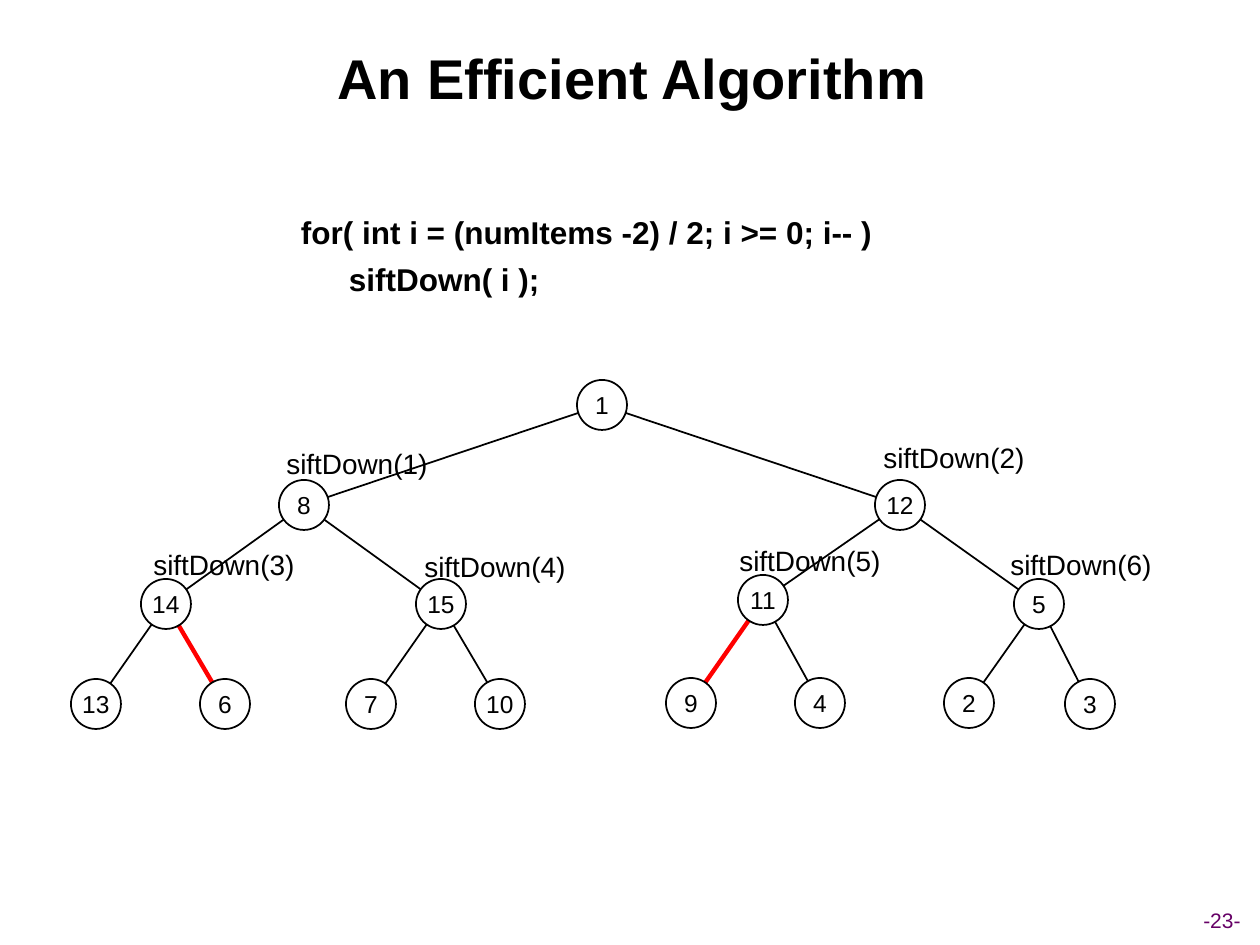
import pptx
import pptx.dml.color
import pptx.enum.shapes
import pptx.enum.text
import pptx.util
from pptx.oxml.ns import qn
from lxml import etree

PX = 914400 / 126
DIAMETER = 50
BLACK, WHITE, RED, PURPLE = "000000", "FFFFFF", "FF0000", "660066"
CENTER = pptx.enum.text.PP_ALIGN.CENTER
LEFT = pptx.enum.text.PP_ALIGN.LEFT

NODES = {
    1: (602, 405),
    8: (304, 505), 12: (900, 505),
    14: (166, 604), 15: (441, 604), 11: (763, 600), 5: (1039, 604),
    13: (96, 704), 6: (225, 704), 7: (371, 704), 10: (500, 704),
    9: (691, 703), 4: (820, 703), 2: (969, 703), 3: (1090, 704),
}
HEAP = list(NODES)
SWAPPED = {6, 9}
CALL_CENTERS = [(357, 463), (954, 457), (224, 564), (495, 566), (810, 560), (1081, 564)]


def px(length):
    return pptx.util.Emu(round(length * PX))


def color(value):
    return pptx.dml.color.RGBColor.from_string(value)


def style_text(paragraph, size, bold=False, ink=BLACK, align=CENTER):
    paragraph.alignment = align
    font = paragraph.font
    font.name = "Arial"
    font.size = pptx.util.Pt(size)
    font.bold = bold
    font.color.rgb = color(ink)


def prepare_frame(frame, wrap):
    frame.margin_left = frame.margin_right = frame.margin_top = frame.margin_bottom = 0
    frame.vertical_anchor = pptx.enum.text.MSO_ANCHOR.MIDDLE
    frame.word_wrap = wrap


def add_text(page, text, center, extent, **style):
    x, y = center
    width, height = extent
    box = page.shapes.add_textbox(px(x - width / 2), px(y - height / 2), px(width), px(height))
    prepare_frame(box.text_frame, True)
    para = box.text_frame.paragraphs[0]
    para.text = text
    style_text(para, **style)


def add_code(page):
    box = page.shapes.add_textbox(px(301), px(213), px(720), px(84))
    prepare_frame(box.text_frame, True)
    box.text_frame.vertical_anchor = pptx.enum.text.MSO_ANCHOR.TOP
    header = box.text_frame.paragraphs[0]
    header.text = "for( int i = (numItems -2) / 2; i >= 0; i-- )"
    body = box.text_frame.add_paragraph()
    body.text = "siftDown( i );"
    body.space_before = pptx.util.Pt(5.5)
    body._p.get_or_add_pPr().set("marL", str(px(48)))
    for para in (header, body):
        style_text(para, 18, bold=True, align=LEFT)


def add_edge(page, parent, child):
    ends = [px(length) for length in NODES[parent] + NODES[child]]
    edge = page.shapes.add_connector(pptx.enum.shapes.MSO_CONNECTOR.STRAIGHT, *ends)
    swapped = child in SWAPPED
    edge.line.color.rgb = color(RED if swapped else BLACK)
    edge.line.width = pptx.util.Pt(2.5 if swapped else 1)
    etree.SubElement(edge._element.spPr, qn("a:effectLst"))


def add_node(page, value):
    x, y = NODES[value]
    node = page.shapes.add_shape(
        pptx.enum.shapes.MSO_SHAPE.OVAL,
        px(x - DIAMETER / 2), px(y - DIAMETER / 2), px(DIAMETER), px(DIAMETER))
    node.shadow.inherit = False
    node.fill.solid()
    node.fill.fore_color.rgb = color(WHITE)
    node.line.color.rgb = color(BLACK)
    node.line.width = pptx.util.Pt(1)
    prepare_frame(node.text_frame, False)
    para = node.text_frame.paragraphs[0]
    para.text = str(value)
    style_text(para, 14)


def main():
    deck = pptx.Presentation()
    deck.slide_width, deck.slide_height = px(1260), px(945)
    page = deck.slides.add_slide(deck.slide_layouts[6])

    add_text(page, "An Efficient Algorithm", (632, 77), (1168, 120), size=32, bold=True)
    add_code(page)
    for index, child in enumerate(HEAP[1:], start=1):
        add_edge(page, HEAP[(index - 1) // 2], child)
    for value in HEAP:
        add_node(page, value)
    for index, center in enumerate(CALL_CENTERS, start=1):
        add_text(page, f"siftDown({index})", center, (166, 46), size=16)
    add_text(page, "-23-", (1222, 920), (76, 38), size=12, ink=PURPLE)

    deck.save("out.pptx")


if __name__ == "__main__":
    main()
